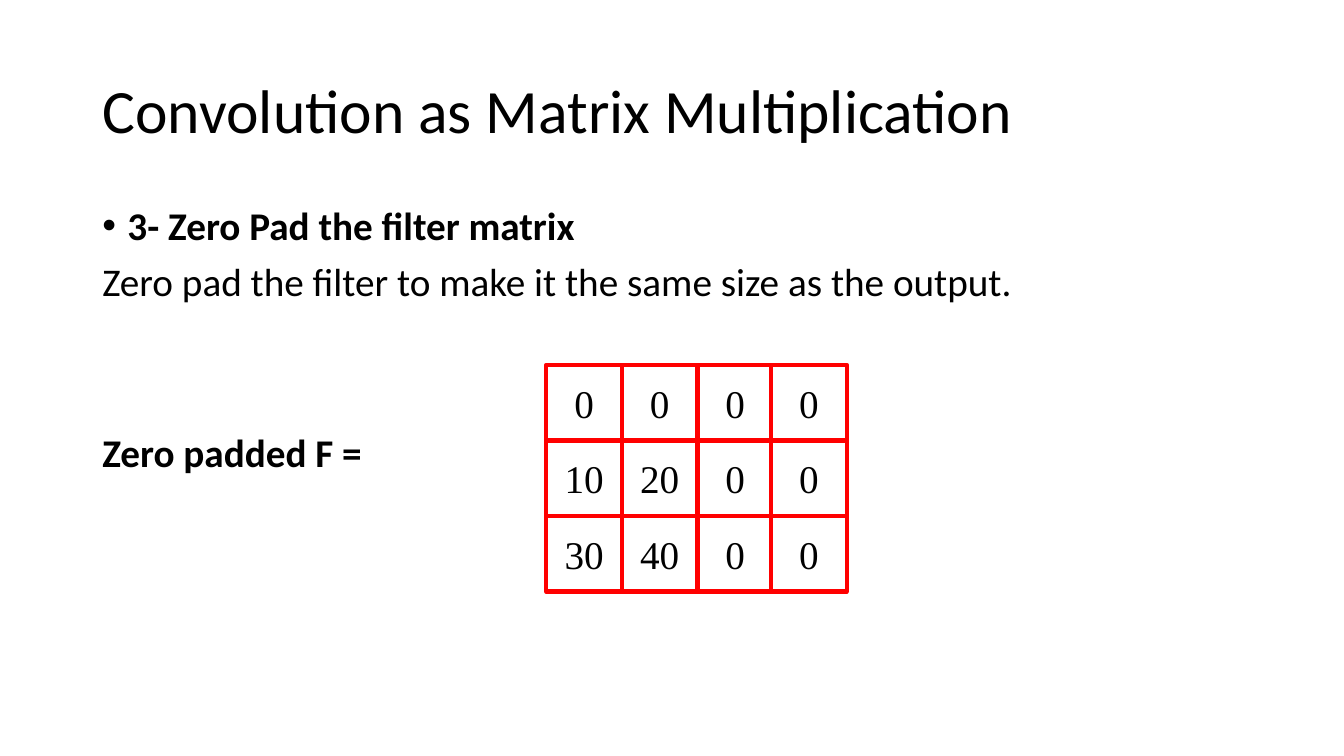
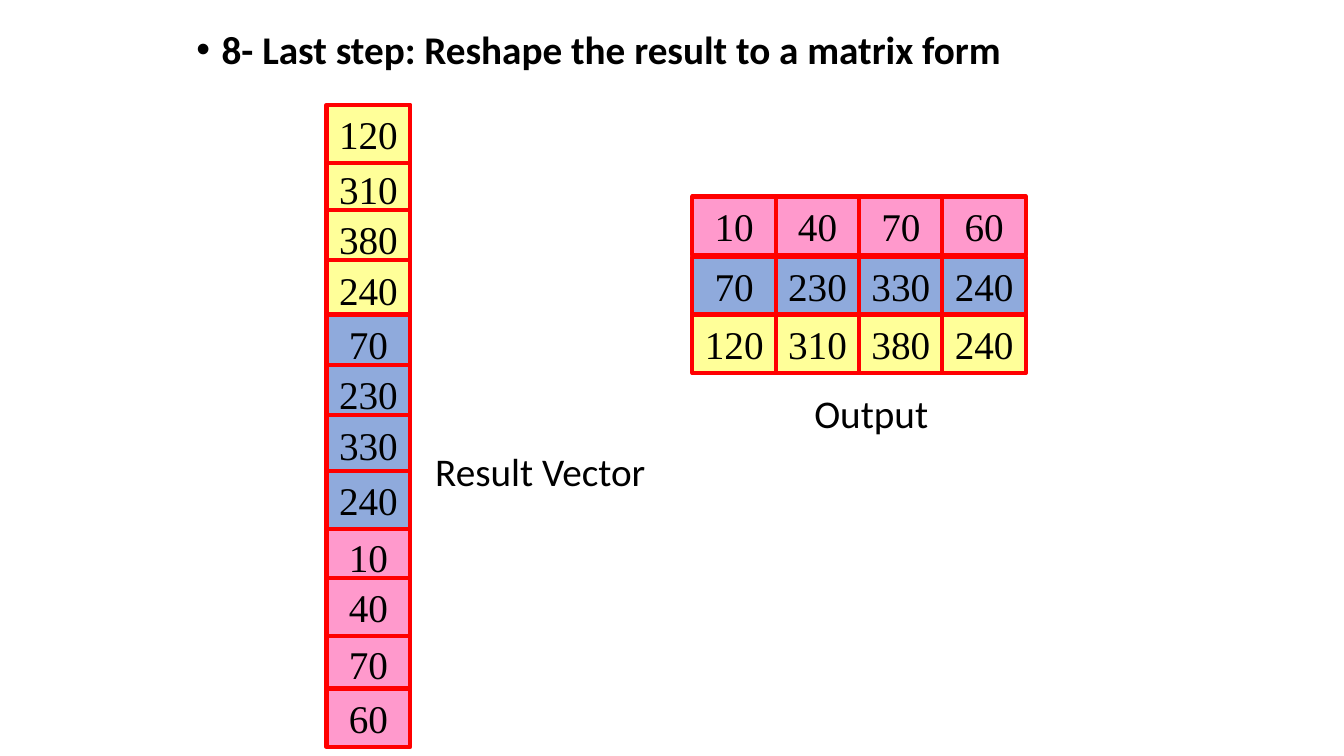
from pptx import Presentation
from pptx.dml.color import RGBColor
from pptx.enum.shapes import MSO_SHAPE
from pptx.enum.text import MSO_ANCHOR, MSO_AUTO_SIZE, PP_ALIGN
from pptx.oxml.ns import qn
from pptx.util import Pt

RECT = MSO_SHAPE.RECTANGLE
MIDDLE = MSO_ANCHOR.MIDDLE
NO_FIT = MSO_AUTO_SIZE.NONE
LEFT, CENTER = PP_ALIGN.LEFT, PP_ALIGN.CENTER
TITLE_ONLY, BLANK = 5, 6

BODY_FONT, CELL_FONT = "Calibri", "Times New Roman"
BLACK, WHITE, RED = "000000", "FFFFFF", "FF0000"
YELLOW, BLUE, PINK = "FFFF99", "8FAADC", "FF99CC"
TITLE_SIZE, TEXT_SIZE = 44, 28
LINE_SPACING, PARA_GAP = 0.9, 10

TITLE = "Convolution as Matrix Multiplication"
TITLE_BOX = (66, 28.8, 828, 104.4)
PAD_BOX = (66, 144, 828, 342.7)
PAD_TEXT = [
    ("3- Zero Pad the filter matrix", {"bold": True, "bullet": True}),
    ("Zero pad the filter to make it the same size as the output.", {}),
    ("Zero padded F =", {"bold": True, "before": 91.5}),
]
FILTER = [(0, 0, 0, 0), (10, 20, 0, 0), (30, 40, 0, 0)]
FILTER_LEFTS = (390.2, 444.2, 498.2, 550.8)
FILTER_TOP, FILTER_SIDE = 260.6, 54

STEP_BOX = (133.2, 18, 704.2, 41)
STEP_TEXT = [("8- Last step: Reshape the result to a matrix form",
              {"bold": True, "bullet": True})]
OUTPUT = [
    (PINK, (10, 40, 70, 60)),
    (BLUE, (70, 230, 330, 240)),
    (YELLOW, (120, 310, 380, 240)),
]
OUTPUT_LEFT, OUTPUT_TOPS = 494.6, (140.4, 183.4, 224.6)
CELL_W, CELL_H, CELL_STEP = 59.8, 41.8, 59.5
VECTOR_LEFT = 233.3
VECTOR_TOPS = (74.9, 113.8, 149.8, 185.8, 224.6, 260.6,
               296.6, 336.2, 376.6, 412.6, 452.9, 491.8)
VECTOR_FRONT = {0, 7, 9, 11}
LABELS = [("Result Vector", (303.8, 316.1, 176.4, 41)),
          ("Output", (574.6, 274.3, 98.6, 41))]


def color(hex_text):
    """Turn a hex string into a colour."""
    return RGBColor.from_string(hex_text)


def box(values):
    """Turn left, top, width and height into points."""
    return [Pt(v) for v in values]


def write(p, text, size=TEXT_SIZE, font=BODY_FONT, bold=False, align=LEFT,
          spacing=None, before=0, bullet=False):
    """Put one formatted run into a paragraph."""
    p.alignment = align
    p.line_spacing = spacing
    p.space_before = Pt(before)
    if bullet:
        pPr = p._p.get_or_add_pPr()
        pPr.set("marL", str(Pt(18)))
        pPr.set("indent", str(Pt(-18)))
        pPr.makeelement(qn("a:buFont"), {})
        for tag, key, value in (("a:buFont", "typeface", "Arial"),
                                ("a:buChar", "char", "•")):
            pPr.append(pPr.makeelement(qn(tag), {key: value}))
    r = p.add_run()
    r.text = text
    r.font.size = Pt(size)
    r.font.name = font
    r.font.bold = bold
    r.font.color.rgb = color(BLACK)


def add_text(slide, place, lines, **shared):
    """Add a wrapping text box with one paragraph per line."""
    tf = slide.shapes.add_textbox(*box(place)).text_frame
    tf.word_wrap = True
    for i, (text, style) in enumerate(lines):
        p = tf.paragraphs[0] if i == 0 else tf.add_paragraph()
        write(p, text, **{**shared, **style})


def add_cell(slide, place, value, fill):
    """Add one red-outlined matrix cell."""
    sp = slide.shapes.add_shape(RECT, *box(place))
    sp.shadow.inherit = False
    sp.fill.solid()
    sp.fill.fore_color.rgb = color(fill)
    sp.line.color.rgb = color(RED)
    sp.line.width = Pt(3)
    tf = sp.text_frame
    tf.word_wrap = False
    tf.vertical_anchor = MIDDLE
    write(tf.paragraphs[0], str(value), font=CELL_FONT, align=CENTER)


def build_padding(prs):
    """Build the slide with the zero padded filter."""
    slide = prs.slides.add_slide(prs.slide_layouts[TITLE_ONLY])
    title = slide.shapes.title
    title.left, title.top, title.width, title.height = box(TITLE_BOX)
    tf = title.text_frame
    tf.vertical_anchor = MIDDLE
    tf.auto_size = NO_FIT
    write(tf.paragraphs[0], TITLE, size=TITLE_SIZE, spacing=LINE_SPACING)
    add_text(slide, PAD_BOX, PAD_TEXT, spacing=LINE_SPACING, before=PARA_GAP)
    for i, row in enumerate(FILTER):
        top = FILTER_TOP + i * FILTER_SIDE
        for left, value in zip(FILTER_LEFTS, row):
            add_cell(slide, (left, top, FILTER_SIDE, FILTER_SIDE), value, WHITE)


def build_reshape(prs):
    """Build the slide that turns the result vector into a matrix."""
    slide = prs.slides.add_slide(prs.slide_layouts[BLANK])
    add_text(slide, STEP_BOX, STEP_TEXT, spacing=LINE_SPACING, before=PARA_GAP)
    vector = [(v, fill) for fill, row in reversed(OUTPUT) for v in row]
    for i in sorted(range(len(vector)), key=lambda n: n in VECTOR_FRONT):
        add_cell(slide, (VECTOR_LEFT, VECTOR_TOPS[i], CELL_W, CELL_H), *vector[i])
    for text, place in LABELS:
        add_text(slide, place, [(text, {})])
    for top, (fill, row) in zip(OUTPUT_TOPS, OUTPUT):
        for i, value in enumerate(row):
            left = OUTPUT_LEFT + i * CELL_STEP
            add_cell(slide, (left, top, CELL_W, CELL_H), value, fill)


prs = Presentation()
prs.slide_width, prs.slide_height = Pt(960), Pt(540)
build_padding(prs)
build_reshape(prs)
prs.save("out.pptx")
